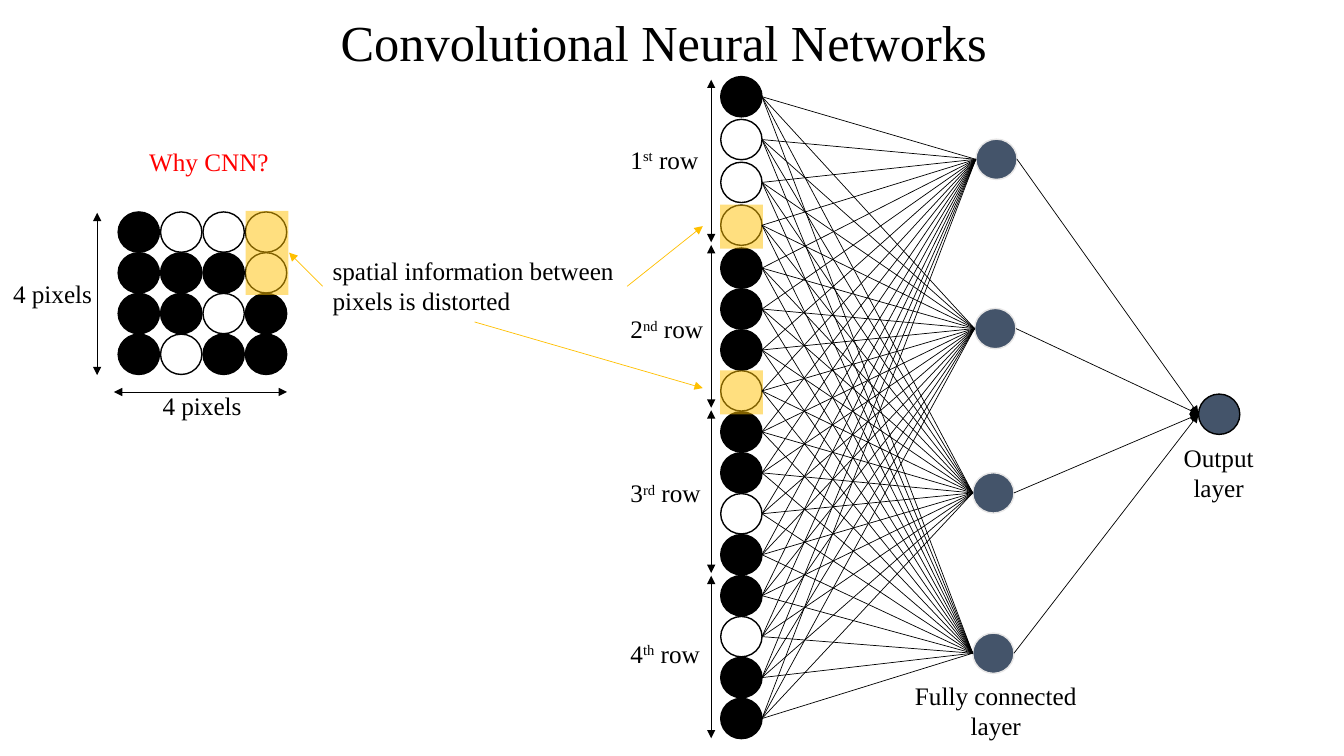
from dataclasses import dataclass

from lxml.etree import SubElement
from pptx import Presentation
from pptx.dml.color import RGBColor
from pptx.enum.shapes import MSO_CONNECTOR, MSO_SHAPE
from pptx.enum.text import MSO_ANCHOR, PP_ALIGN
from pptx.oxml.ns import qn
from pptx.util import Pt


@dataclass(frozen=True)
class Theme:
    font: str = "Times New Roman"
    title_size: int = 36
    body_size: int = 18
    black: RGBColor = RGBColor(0x00, 0x00, 0x00)
    white: RGBColor = RGBColor(0xFF, 0xFF, 0xFF)
    red: RGBColor = RGBColor(0xFF, 0x00, 0x00)
    amber: RGBColor = RGBColor(0xFF, 0xC0, 0x00)
    slate: RGBColor = RGBColor(0x44, 0x54, 0x6A)
    pale: RGBColor = RGBColor(0xE7, 0xE6, 0xE6)


theme = Theme()
prs = Presentation()
prs.slide_width, prs.slide_height = Pt(960), Pt(540)
slide = prs.slides.add_slide(prs.slide_layouts[6])

NODE_W, NODE_H = 29.5, 28.8


def add_node(left, top, fill, outline):
    node = slide.shapes.add_shape(
        MSO_SHAPE.OVAL, Pt(left), Pt(top), Pt(NODE_W), Pt(NODE_H))
    node.shadow.inherit = False
    node.fill.solid()
    node.fill.fore_color.rgb = fill
    node.line.color.rgb = outline
    node.line.width = Pt(1)


def add_line(start, end, color=theme.black, arrowheads=()):
    """Draw a thin line; arrowheads may hold "headEnd" (start) and "tailEnd" (end)."""
    line = slide.shapes.add_connector(
        MSO_CONNECTOR.STRAIGHT, *(Pt(value) for value in (*start, *end)))
    line.line.color.rgb = color
    line.line.width = Pt(0.5)
    properties = line._element.spPr
    for arrowhead in arrowheads:
        SubElement(properties.find(qn("a:ln")), qn(f"a:{arrowhead}"), type="triangle")
    SubElement(properties, qn("a:effectLst"))


# Pixels, by image row: # is black, . is white
image = ["#...", "###.", "##.#", "#.##"]
pixel_fill = {"#": theme.black, ".": theme.white}

# The image as a 4 x 4 grid
for row, pixels in enumerate(image):
    for column, pixel in enumerate(pixels):
        add_node(84.4 + 30.3 * column, 151.4 + 29.1 * row,
                 pixel_fill[pixel], theme.black)

# The same image flattened into the input layer, with wider gaps in the first row
INPUT_LEFT = 514.8
input_tops = [54.7 + 30.6 * min(i, 4) + 29.25 * max(i - 4, 0) for i in range(16)]
for top, pixel in zip(input_tops, "".join(image)):
    add_node(INPUT_LEFT, top, pixel_fill[pixel], theme.black)

# Dimension arrows
both_ends = ("headEnd", "tailEnd")
add_line((69.4, 152), (69.4, 268), arrowheads=both_ends)
add_line((205, 280), (81.4, 280), arrowheads=both_ends)
for row in range(4):
    row_top = 56.9 + 118.1 * row
    add_line((508, row_top), (508, row_top + 116.2), arrowheads=both_ends)

# Neighbouring pixels that end up apart
for left, top, width, height in [
    (175.5, 150.6, 30.5, 60),
    (514.5, 146.1, 30.5, 31.5),
    (514.5, 264.5, 30.5, 31.5),
]:
    highlight = slide.shapes.add_shape(
        MSO_SHAPE.RECTANGLE, Pt(left), Pt(top), Pt(width), Pt(height))
    highlight.shadow.inherit = False
    highlight.line.fill.background()
    highlight.fill.solid()
    highlight.fill.fore_color.rgb = theme.amber
    amber_fill = highlight._element.spPr.find(qn("a:solidFill"))
    SubElement(amber_fill[0], qn("a:alpha"), val="50000")

for start, end in [
    ((230.5, 204.5), (206.5, 180.5)),
    ((448, 204.5), (502, 161.5)),
    ((339, 230), (502, 277.2)),
]:
    add_line(start, end, theme.amber, ["tailEnd"])

# Fully connected layer and output layer
OUTPUT_LEFT, OUTPUT_TOP = 856.1, 281.5
hidden_neurons = [(697, 99.4), (696.2, 220.3), (694.8, 337.7), (694.8, 452.2)]
for left, top in hidden_neurons:
    middle = top + NODE_H / 2
    add_node(left, top, theme.slate, theme.pale)
    for input_top in input_tops:
        add_line((INPUT_LEFT + NODE_W, input_top + NODE_H / 2), (left, middle))
    add_line((left + NODE_W, middle), (OUTPUT_LEFT, OUTPUT_TOP + NODE_H / 2),
             arrowheads=["tailEnd"])
add_node(OUTPUT_LEFT, OUTPUT_TOP, theme.slate, theme.black)

# Wording: a part between ^ marks is superscript
title_format = {"size": Pt(theme.title_size)}
question_format = {"color": theme.red}
captions = [
    (236.2, 2.2, 488.2, 59.8, "Convolutional Neural Networks", PP_ALIGN.LEFT, title_format),
    (99.4, 100.8, 102, 29, "Why CNN?", PP_ALIGN.LEFT, question_format),
    (2.2, 195.3, 73, 29, "4 pixels", PP_ALIGN.LEFT, {}),
    (109, 275.2, 73, 29, "4 pixels", PP_ALIGN.LEFT, {}),
    (230.5, 178.5, 219, 51, "spatial information between\npixels is distorted",
     PP_ALIGN.LEFT, {}),
    (644.8, 482.4, 133, 51, "Fully connected\nlayer", PP_ALIGN.CENTER, {}),
    (836.5, 312.3, 68, 51, "Output\nlayer", PP_ALIGN.CENTER, {}),
]
for ordinal, (_, top) in zip(["1^st^", "2^nd^", "3^rd^", "4^th^"], hidden_neurons):
    captions.append((443.2, top, 68.5, 29, f"{ordinal} row", PP_ALIGN.LEFT, {}))

for left, top, width, height, wording, alignment, changes in captions:
    caption = slide.shapes.add_textbox(Pt(left), Pt(top), Pt(width), Pt(height))
    frame = caption.text_frame
    frame.word_wrap = True
    is_title = changes is title_format
    frame.vertical_anchor = MSO_ANCHOR.MIDDLE if is_title else MSO_ANCHOR.TOP
    font_format = {"name": theme.font, "size": Pt(theme.body_size),
                   "color": theme.black, **changes}
    for index, text_line in enumerate(wording.split("\n")):
        paragraph = frame.add_paragraph() if index else frame.paragraphs[0]
        paragraph.alignment = alignment
        paragraph.line_spacing = 0.9 if is_title else 1.0
        for part_index, part in enumerate(text_line.split("^")):
            run = paragraph.add_run()
            run.text = part
            for attribute, value in font_format.items():
                if attribute == "color":
                    run.font.color.rgb = value
                else:
                    setattr(run.font, attribute, value)
            if part_index % 2:
                run._r.get_or_add_rPr().set("baseline", "30000")

prs.save("out.pptx")
